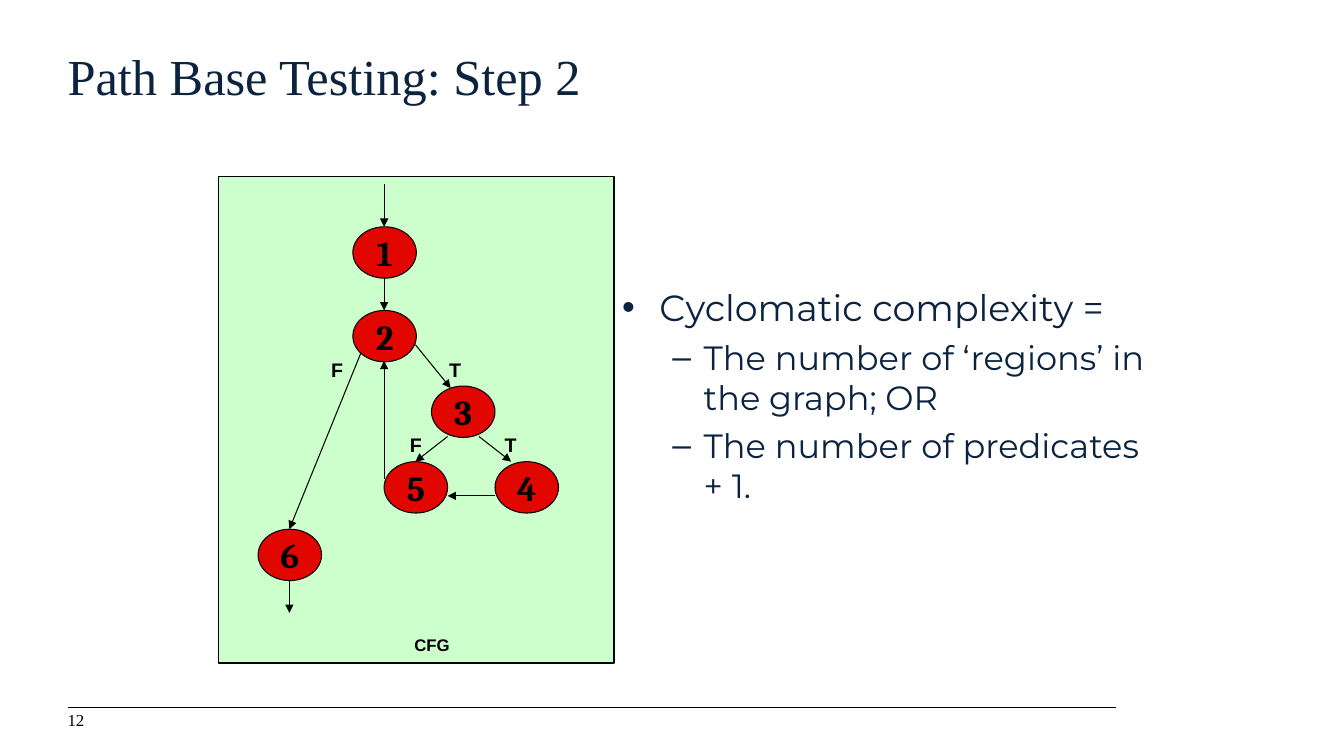
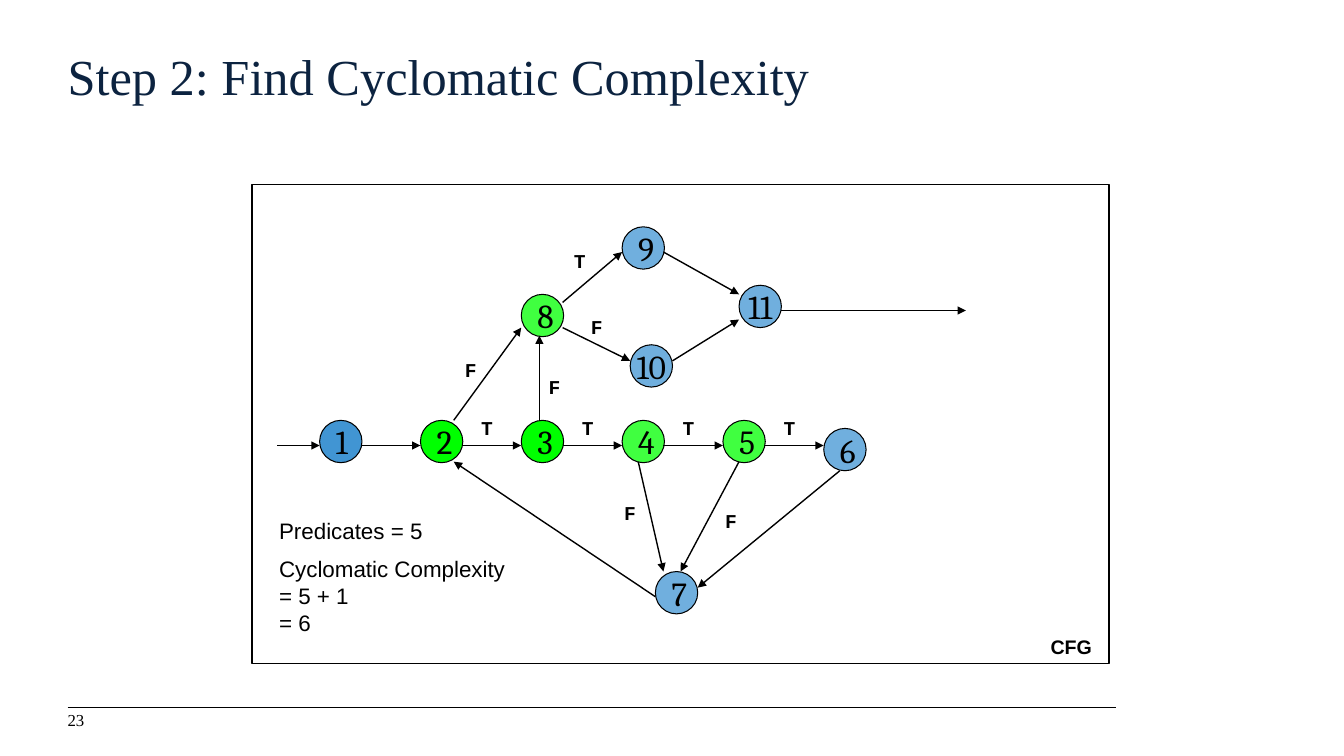
"""Build two slides on cyclomatic complexity with control flow graphs."""
from pptx import Presentation, util as u
from pptx.dml.color import RGBColor
from pptx.enum import shapes, text
from pptx.oxml.ns import qn
from pptx.oxml.xmlchemy import OxmlElement

COLORS = {"navy": "0C2340", "black": "000000", "mint": "CCFFCC", "red": "E10600",
          "blue": "4195D3", "green": "00FF00"}
INSETS = (0.1, 0.05, 0.1, 0.05)
FLUSH = (0, 0, 0.1, 0.05)


def rgb(name):
    """Return the named palette colour."""
    return RGBColor.from_string(COLORS[name])


def child(parent, tag, **attrs):
    """Append an XML element with attributes and return it."""
    el = OxmlElement(tag)
    for key, value in attrs.items():
        el.set(key, str(value))
    parent.append(el)
    return el


def style_font(p, size, font, color="black", bold=False):
    """Format every run of a paragraph."""
    for r in p.runs:
        r.font.size = u.Pt(size)
        r.font.name = font
        r.font.bold = bold
        r.font.color.rgb = rgb(color)


def set_insets(tf, insets):
    """Set the four text margins."""
    tf.margin_left, tf.margin_top, tf.margin_right, tf.margin_bottom = map(u.Inches, insets)


def add_text(s, at, lines, size, font, color="black", bold=False, align=None,
             insets=INSETS, anchor=text.MSO_ANCHOR.TOP, gap=0):
    """Add a text box with one paragraph for each line."""
    tf = s.shapes.add_textbox(*map(u.Inches, at)).text_frame
    tf.word_wrap = True
    tf.vertical_anchor = anchor
    set_insets(tf, insets)
    for i, line in enumerate(lines):
        p = tf.add_paragraph() if i else tf.paragraphs[0]
        p.text = line
        p.alignment = align
        if i:
            p.space_before = u.Pt(gap)
        style_font(p, size, font, color, bold)
    return tf


def add_label(s, x, y, label, font, width=0.5, size=14):
    """Add a bold centred label."""
    add_text(s, (x, y, width, 0.33), [label], size, font, bold=True,
             align=text.PP_ALIGN.CENTER)


def add_preset(s, kind, at, fill=None, weight=0.75):
    """Add an outlined preset shape."""
    sp = s.shapes.add_shape(kind, *map(u.Inches, at))
    sp.shadow.inherit = False
    sp.line.color.rgb = rgb("black")
    sp.line.width = u.Pt(weight)
    if fill:
        sp.fill.solid()
        sp.fill.fore_color.rgb = rgb(fill)
    else:
        sp.fill.background()
    return sp


def add_node(s, x, y, label, fill, size, width, height, bold=False, align=None, alpha=100):
    """Add a numbered graph node."""
    sp = add_preset(s, shapes.MSO_SHAPE.OVAL, (x, y, width, height), fill)
    if alpha < 100:
        child(sp._element.spPr.find(".//" + qn("a:srgbClr")), "a:alpha", val=alpha * 1000)
    tf = sp.text_frame
    tf.text = label
    tf.word_wrap = False
    tf.vertical_anchor = text.MSO_ANCHOR.MIDDLE
    set_insets(tf, INSETS)
    p = tf.paragraphs[0]
    p.alignment = align or text.PP_ALIGN.LEFT
    style_font(p, size, "Cambria", bold=bold)


def add_line(s, x1, y1, x2, y2, weight=0.75, arrow=True):
    """Add a straight line, with an arrowhead at its end if wanted."""
    cx = s.shapes.add_connector(shapes.MSO_CONNECTOR.STRAIGHT,
                                *map(u.Inches, (x1, y1, x2, y2)))
    cx.line.color.rgb = rgb("black")
    cx.line.width = u.Pt(weight)
    if arrow:
        child(cx.line._get_or_add_ln(), "a:tailEnd", type="triangle")
    child(cx._element.spPr, "a:effectLst")


def add_bullets(s, at, items):
    """Add a bulleted list of (text, level, size) items."""
    tf = add_text(s, at, [item[0] for item in items], 24, "Montserrat", "navy",
                  insets=FLUSH, gap=5.5)
    for p, (_, level, size) in zip(tf.paragraphs, items):
        left, hang, mark = ((0.37, 0.37, "•"), (0.81, 0.31, "–"))[level]
        p.level = level
        pPr = p._p.get_or_add_pPr()
        pPr.set("marL", str(u.Inches(left)))
        pPr.set("indent", str(-u.Inches(hang)))
        child(pPr, "a:buFont", typeface="Arial")
        child(pPr, "a:buChar", char=mark)
        style_font(p, size, "Montserrat", "navy")


def add_slide(prs, title, number):
    """Add a slide with its title, footer rule and number."""
    s = prs.slides.add_slide(prs.slide_layouts[6])
    add_line(s, 0.67, 7.02, 11.07, 7.02, arrow=False)
    add_text(s, (0.67, 0.45, 10.41, 0.93), [title], 36, "Times New Roman", "navy",
             insets=FLUSH)
    add_text(s, (0.67, 7.06, 0.53, 0.21), [number], 12, "Times New Roman",
             insets=FLUSH, anchor=text.MSO_ANCHOR.MIDDLE)
    return s


def build_definition(prs):
    """Build the slide that defines cyclomatic complexity."""
    s = add_slide(prs, "Path Base Testing: Step 2", "12")
    add_bullets(s, (6.17, 2.83, 5.5, 2.75), [
        ("Cyclomatic complexity =", 0, 26),
        ("The number of ‘regions’ in the graph; OR", 1, 24),
        ("The number of predicates + 1.", 1, 24)])
    add_preset(s, shapes.MSO_SHAPE.RECTANGLE, (2.17, 1.75, 3.92, 4.83), "mint", 1)
    add_label(s, 3.97, 6.25, "CFG", "Arial", 0.63, 12)
    nodes = [(3.5, 2.25), (3.5, 3.08), (4.28, 3.83), (4.91, 4.58), (3.81, 4.58), (2.56, 5.25)]
    for number, (x, y) in enumerate(nodes, 1):
        add_node(s, x, y, str(number), "red", 25, 0.63, 0.51, True, text.PP_ALIGN.CENTER)
    for x, y, label in [(4.28, 3.5, "T"), (3.11, 3.5, "F"), (4.83, 4.25, "T"), (3.89, 4.25, "F")]:
        add_label(s, x, y, label, "Arial", 0.47)
    edges = [(3.81, 1.83, 3.81, 2.25), (3.81, 2.75, 3.81, 3.08), (4.12, 3.42, 4.47, 3.85),
             (4.44, 4.33, 4.12, 4.58), (4.75, 4.33, 5.07, 4.58), (3.58, 3.5, 2.87, 5.25),
             (2.87, 5.75, 2.87, 6.08), (4.91, 4.92, 4.44, 4.92), (3.81, 4.75, 3.81, 3.58)]
    for edge in edges:
        add_line(s, *edge)


def build_example(prs):
    """Build the slide that works out the complexity of a larger graph."""
    s = add_slide(prs, "Step 2: Find Cyclomatic Complexity", "23")
    add_preset(s, shapes.MSO_SHAPE.RECTANGLE, (2.5, 1.83, 8.5, 4.75), weight=1)
    nodes = [(3.17, 4.17, "blue"), (4.17, 4.17, "green"), (5.17, 4.17, "green"),
             (6.17, 4.17, "green"), (7.17, 4.17, "green"), (8.17, 4.25, "blue"),
             (6.5, 5.67, "blue"), (5.17, 2.92, "green"), (6.17, 2.25, "blue"),
             (6.25, 3.42, "blue"), (7.33, 2.83, "blue")]
    for number, (x, y, fill) in enumerate(nodes, 1):
        align = text.PP_ALIGN.CENTER if number > 9 else None
        add_node(s, x, y, str(number), fill, 24, 0.42, 0.42, align=align,
                 alpha=75 if number > 3 else 100)
    row = [(x + 0.58, 4.42, x + 1.17, 4.42) for x in range(3, 8)]
    edges = [(2.75, 4.42, 3.17, 4.42), (8.33, 4.67, 6.92, 5.83), (7.33, 4.58, 6.75, 5.67),
             (6.33, 4.58, 6.58, 5.67), (6.5, 5.92, 4.5, 4.58), (4.5, 4.17, 5.17, 3.25),
             (5.35, 4.17, 5.35, 3.33), (5.58, 3, 6.17, 2.5), (5.58, 3.25, 6.25, 3.58),
             (6.58, 2.5, 7.33, 2.92), (6.67, 3.58, 7.33, 3.17), (7.75, 3.08, 9.58, 3.08)]
    for edge in row + edges:
        add_line(s, *edge, weight=1)
    true_labels = [(x + 0.58, 4.08) for x in range(4, 8)] + [(5.5, 2.42)]
    false_labels = [(5.67, 3.08), (4.42, 3.5), (5.25, 3.67), (6, 4.92), (7, 5)]
    for label, places in (("T", true_labels), ("F", false_labels)):
        for x, y in places:
            add_label(s, x, y, label, "Courier New")
    add_label(s, 10.25, 6.25, "CFG", "Arial", 0.75)
    add_text(s, (2.67, 5.08, 2.5, 1.3),
             ["Predicates = 5", "Cyclomatic Complexity\n= 5 + 1\n= 6"], 16, "Arial", gap=8)


def main():
    """Build and save the presentation."""
    prs = Presentation()
    prs.slide_width, prs.slide_height = u.Inches(13.33), u.Inches(7.5)
    build_definition(prs)
    build_example(prs)
    prs.save("out.pptx")


if __name__ == "__main__":
    main()
